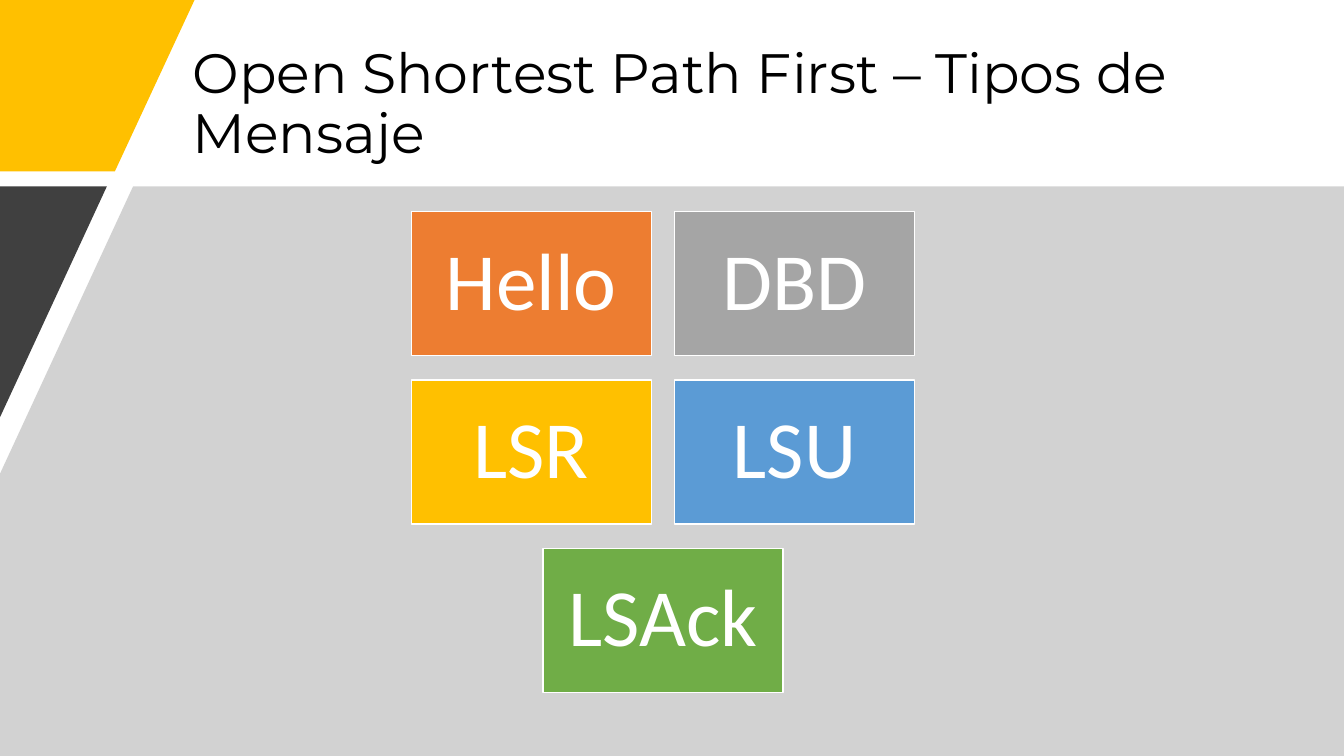
from lxml.etree import SubElement
from pptx import Presentation
from pptx.dml.color import RGBColor
from pptx.enum.shapes import MSO_SHAPE
from pptx.enum.text import MSO_ANCHOR, MSO_AUTO_SIZE, PP_ALIGN
from pptx.oxml.ns import qn
from pptx.util import Inches, Pt

WHITE = RGBColor(0xFF, 0xFF, 0xFF)
BLACK = RGBColor(0x00, 0x00, 0x00)
CHARCOAL = RGBColor(0x40, 0x40, 0x40)
PANEL_GRAY = RGBColor(0xA6, 0xA6, 0xA6)
ORANGE = RGBColor(0xED, 0x7D, 0x31)
GRAY = RGBColor(0xA5, 0xA5, 0xA5)
YELLOW = RGBColor(0xFF, 0xC0, 0x00)
BLUE = RGBColor(0x5B, 0x9B, 0xD5)
GREEN = RGBColor(0x70, 0xAD, 0x47)

SLIDE_WIDTH, SLIDE_HEIGHT = 13.33, 7.5
PANEL_TOP = 1.85

# Message grid: two boxes per row, any shorter row is centred
COLUMNS = 2
GRID_LEFT, GRID_TOP = 4.08, 2.1
BOX_WIDTH, BOX_HEIGHT = 2.38, 1.43
COLUMN_STEP, ROW_STEP = 2.61, 1.67


class SlideBuilder:
    """Holds the slide and its style, and adds each kind of element."""

    title_font, title_size = "Montserrat", Pt(39.6)
    box_font, box_size = "Calibri", Pt(58)
    box_inset = Inches(0.24)
    line_spacing = 0.9

    def __init__(self, deck):
        self.slide = deck.slides.add_slide(deck.slide_layouts[5])

    def add_text(self, frame, text, font, size, color, alignment):
        frame.word_wrap = True
        frame.auto_size = MSO_AUTO_SIZE.NONE
        frame.vertical_anchor = MSO_ANCHOR.MIDDLE
        para = frame.paragraphs[0]
        para.alignment = alignment
        para.line_spacing = self.line_spacing
        span = para.add_run()
        span.text = text
        span.font.name = font
        span.font.size = size
        span.font.color.rgb = color

    def title(self, text, left, top, width, height):
        holder = self.slide.shapes.title
        holder.left, holder.top = Inches(left), Inches(top)
        holder.width, holder.height = Inches(width), Inches(height)
        self.add_text(holder.text_frame, text, self.title_font,
                      self.title_size, BLACK, PP_ALIGN.LEFT)

    def polygon(self, points, color, opacity=100):
        corners = [(Inches(x), Inches(y)) for x, y in points]
        outliner = self.slide.shapes.build_freeform(*corners[0])
        outliner.add_line_segments(corners[1:], close=True)
        outline = outliner.convert_to_shape()
        outline.shadow.inherit = False
        outline.line.fill.background()
        outline.fill.solid()
        outline.fill.fore_color.rgb = color
        if opacity < 100:
            tint = outline.element.spPr.find(qn("a:solidFill"))[0]
            SubElement(tint, qn("a:alpha"), val=str(opacity * 1000))

    def message_box(self, text, color, column, row):
        box = self.slide.shapes.add_shape(
            MSO_SHAPE.RECTANGLE,
            Inches(GRID_LEFT + column * COLUMN_STEP),
            Inches(GRID_TOP + row * ROW_STEP),
            Inches(BOX_WIDTH), Inches(BOX_HEIGHT))
        box.shadow.inherit = False
        box.fill.solid()
        box.fill.fore_color.rgb = color
        box.line.color.rgb = WHITE
        box.line.width = Pt(1)
        frame = box.text_frame
        frame.margin_left = frame.margin_right = self.box_inset
        frame.margin_top = frame.margin_bottom = self.box_inset
        self.add_text(frame, text, self.box_font, self.box_size, WHITE,
                      PP_ALIGN.CENTER)


deck = Presentation()
deck.slide_width = Inches(SLIDE_WIDTH)
deck.slide_height = Inches(SLIDE_HEIGHT)
builder = SlideBuilder(deck)

# Title
builder.title("Open Shortest Path First – Tipos de Mensaje",
              1.81, 0.4, 10.24, 1.3)

# Slanted background: corner, panel and wedge
builder.polygon([(0, 0), (1.93, 0), (1.14, 1.7), (0, 1.7)], YELLOW)
builder.polygon([(1.32, PANEL_TOP), (SLIDE_WIDTH, PANEL_TOP),
                 (SLIDE_WIDTH, SLIDE_HEIGHT), (0, SLIDE_HEIGHT), (0, 4.7)],
                PANEL_GRAY, opacity=50)
builder.polygon([(0, PANEL_TOP), (1.06, PANEL_TOP), (0, 4.14)], CHARCOAL)

# Message types
messages = [("Hello", ORANGE), ("DBD", GRAY), ("LSR", YELLOW),
            ("LSU", BLUE), ("LSAck", GREEN)]
for row, first in enumerate(range(0, len(messages), COLUMNS)):
    members = messages[first:first + COLUMNS]
    indent = (COLUMNS - len(members)) / 2
    for column, (name, color) in enumerate(members):
        builder.message_box(name, color, column + indent, row)

deck.save("out.pptx")
